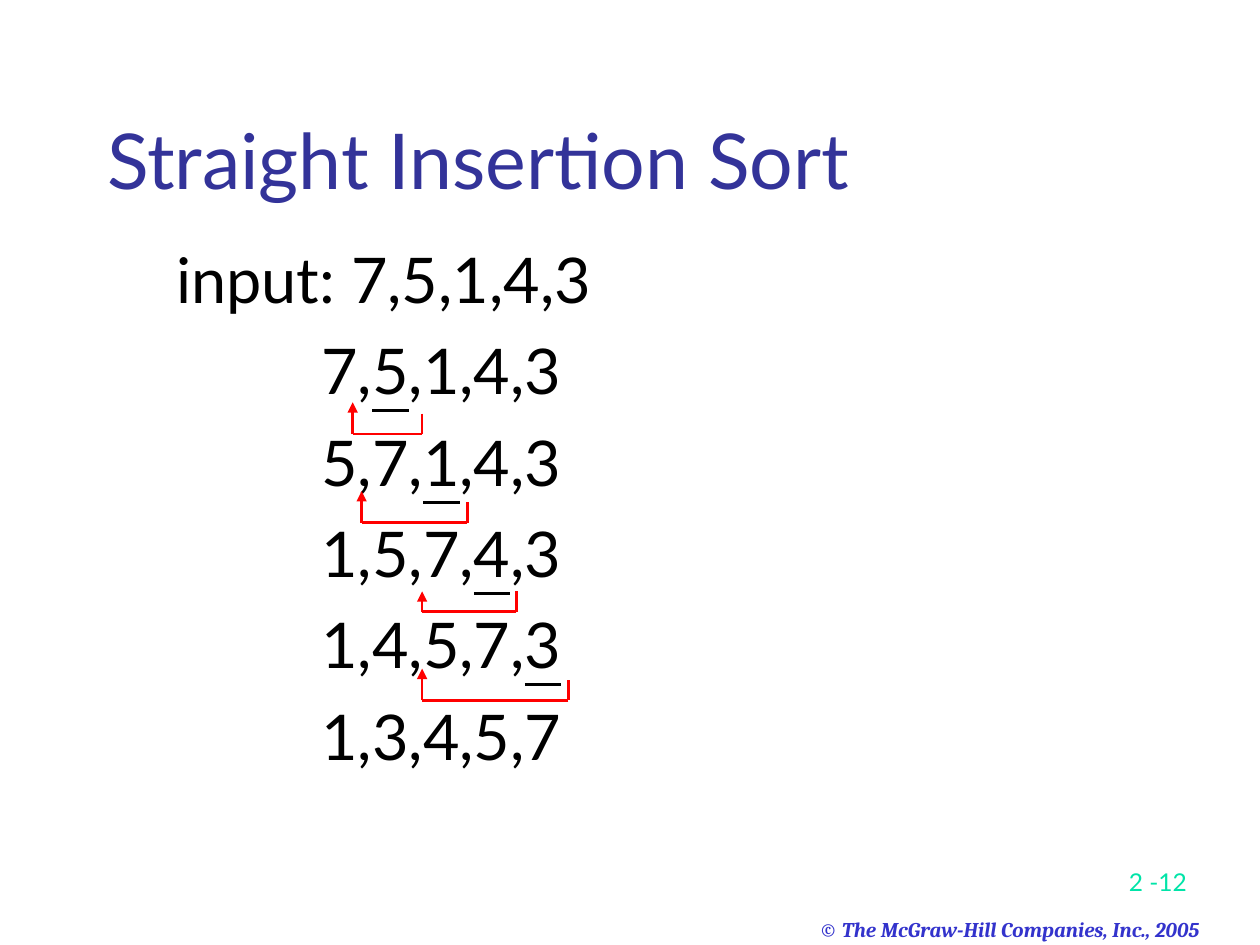
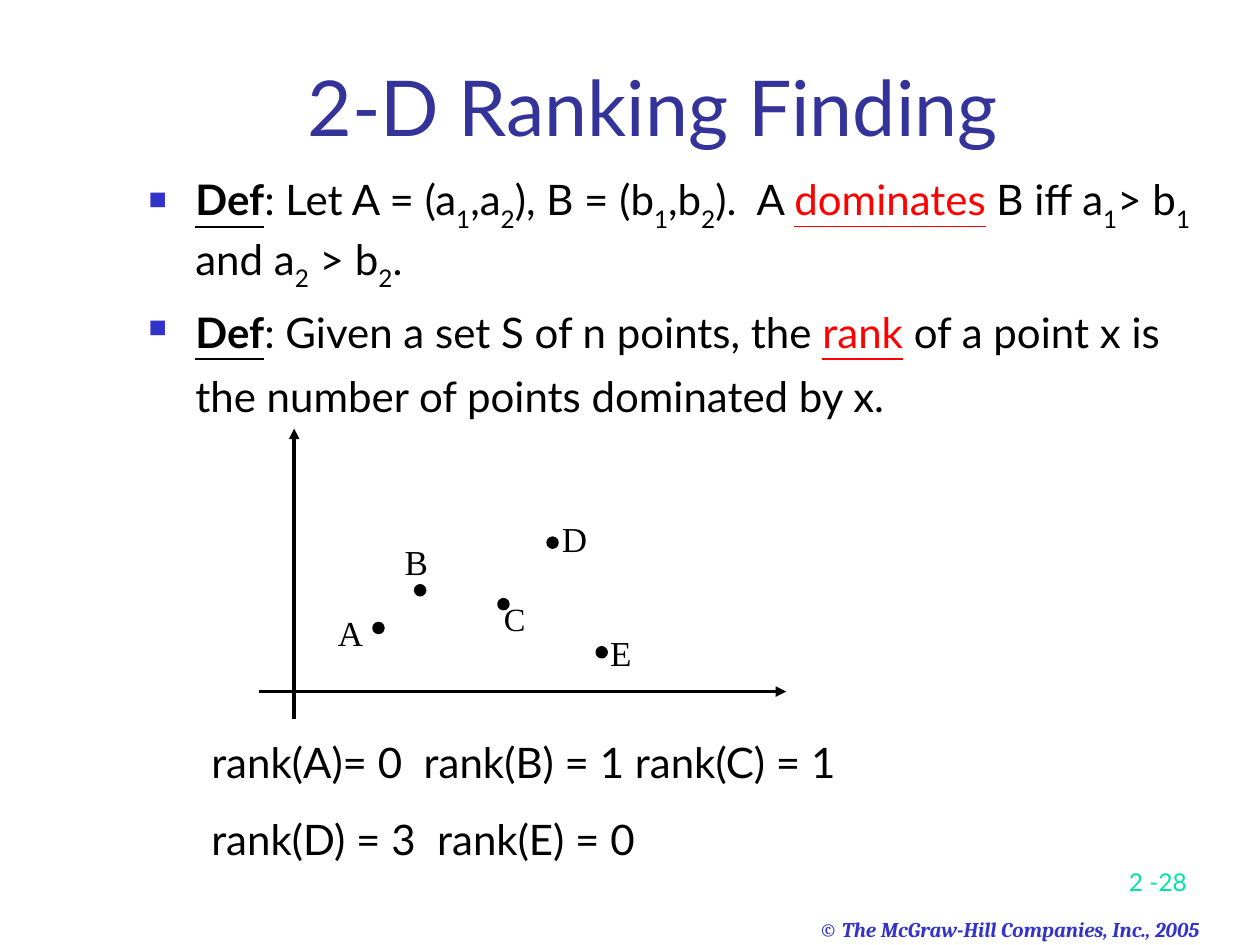
from dataclasses import dataclass

from lxml.etree import SubElement
from pptx import Presentation
from pptx.dml.color import RGBColor as Rgb
from pptx.enum.shapes import MSO_CONNECTOR as Link, MSO_SHAPE as Kind
from pptx.enum.text import MSO_ANCHOR as Anchor, PP_ALIGN as Align
from pptx.oxml.ns import qn
from pptx.util import Cm, Pt


@dataclass(frozen=True)
class Theme:
    # Colours
    title: str = "333399"
    mark: str = "3333CC"
    page: str = "00E4A8"
    ink: str = "000000"
    hot: str = "FF0000"
    paper: str = "FFFFFF"
    # Fonts
    sans: str = "Lato"
    serif: str = "Times New Roman"
    foot: str = "Cambria"
    # Type sizes
    head_size: float = 44
    step_size: float = 36
    body_size: float = 24
    tag_size: float = 20
    page_size: float = 14
    foot_size: float = 12


T = Theme()


# Text

def style(font, size=None, face=None, color=None, bold=None, italic=None,
          under=None):
    if size:
        font.size = Pt(size)
    if face:
        font.name = face
    if color:
        font.color.rgb = Rgb.from_string(color)
    if bold is not None:
        font.bold = bold
    if italic is not None:
        font.italic = italic
    if under is not None:
        font.underline = under


def bullet(para):
    props = para._p.get_or_add_pPr()
    props.set("marL", str(Cm(0.95)))
    props.set("indent", str(-Cm(0.95)))
    tint = SubElement(props, qn("a:buClr"))
    SubElement(tint, qn("a:srgbClr")).set("val", T.mark)
    SubElement(props, qn("a:buSzPct")).set("val", "60000")
    SubElement(props, qn("a:buChar")).set("char", "■")


def write(frame, paras, align=Align.LEFT, anchor=Anchor.TOP, gap=0, lines=None,
          marks=False, size=T.body_size, face=T.sans, color=T.ink, **fmt):
    """Each paragraph is a string or a list of strings and (string, format)."""
    frame.word_wrap = True
    frame.vertical_anchor = anchor
    for i, runs in enumerate(paras):
        para = frame.add_paragraph() if i else frame.paragraphs[0]
        if marks:
            bullet(para)
        para.alignment = align
        if i and gap:
            para.space_before = Pt(gap)
        if lines:
            para.line_spacing = lines
        for part in [runs] if isinstance(runs, str) else runs:
            words, extra = (part, {}) if isinstance(part, str) else part
            extra = dict(extra)
            base = extra.pop("base", None)
            run = para.add_run()
            run.text = words
            look = dict(size=size, face=face, color=color, **fmt)
            style(run.font, **{**look, **extra})
            if base:
                run._r.get_or_add_rPr().set("baseline", str(base))
    return frame


def text(slide, box, *paras, **fmt):
    shape = slide.shapes.add_textbox(*map(Cm, box))
    return write(shape.text_frame, paras, **fmt)


def subs(words):
    """Turn a_1 into an a with a lowered 1."""
    first, *rest = words.split("_")
    runs = [first]
    for piece in rest:
        runs.append((piece[0], {"base": -30000}))
        if piece[1:]:
            runs.append(piece[1:])
    return runs


# Lines and shapes

def line(slide, start, end, color=T.ink, width=2, arrow=False):
    link = slide.shapes.add_connector(Link.STRAIGHT, *map(Cm, start + end))
    link.line.color.rgb = Rgb.from_string(color)
    link.line.width = Pt(width)
    if arrow:
        stroke = link.line._get_or_add_ln()
        SubElement(stroke, qn("a:tailEnd")).set("type", "triangle")
    SubElement(link._element.spPr, qn("a:effectLst"))


def solid(slide, kind, box, color):
    shape = slide.shapes.add_shape(kind, *map(Cm, box))
    shape.shadow.inherit = False
    shape.fill.solid()
    shape.fill.fore_color.rgb = Rgb.from_string(color)
    shape.line.color.rgb = Rgb.from_string(color)
    shape.line.width = Pt(2)
    return shape


def move(slide, right, left, base, rise):
    """Bracket from the picked key back to the place where it goes."""
    look = dict(color=T.hot, width=1.5)
    line(slide, (right, base - 0.41), (right, base), **look)
    line(slide, (right, base), (left, base), **look)
    line(slide, (left, base), (left, base - rise), arrow=True, **look)


def point(slide, name, dot, box, size=T.tag_size, lines=None):
    frame = solid(slide, Kind.RECTANGLE, box, T.paper).text_frame
    frame.margin_left = frame.margin_right = Cm(0.03)
    frame.margin_top = frame.margin_bottom = Cm(0.03)
    write(frame, [name], size=size, face=T.serif, lines=lines)
    solid(slide, Kind.OVAL, dot + (0.18, 0.18), T.ink)


# Slides

def start(deck, page, title, box, align=Align.LEFT):
    slide = deck.slides.add_slide(deck.slide_layouts[6])
    text(slide, (16.27, 18.36, 8.9, 0.69),
         "© The McGraw-Hill Companies, Inc., 2005", size=T.foot_size,
         face=T.foot, color=T.mark, bold=True, italic=True)
    text(slide, (18.9, 16.92, 5.28, 1.27), f"2 -{page}", align=Align.RIGHT,
         anchor=Anchor.BOTTOM, size=T.page_size, color=T.page)
    text(slide, box, title, align=align, anchor=Anchor.BOTTOM,
         size=T.head_size, color=T.title)
    return slide


def sorting(deck):
    slide = start(deck, 12, "Straight Insertion Sort",
                  (1.91, 1.07, 20.32, 3.18))

    # Rows, with the key to insert underlined
    rows = []
    for i, row in enumerate(["7,5,1,4,3", "5,7,1,4,3", "1,5,7,4,3",
                             "1,4,5,7,3", "1,3,4,5,7"]):
        at = 2 * (i + 1)
        parts = [row[:at], (row[at:at + 1], {"under": True}), row[at + 1:]]
        rows.append([p for p in parts if p and p[0]])
    frame = text(slide, (3.3, 4.72, 16.21, 12.6), "input: 7,5,1,4,3", *rows,
                 size=T.step_size, gap=9)
    for para in frame.paragraphs[1:]:
        para._p.get_or_add_pPr().set("marL", str(Cm(2.93)))
        para._p.get_or_add_pPr().set("indent", "0")

    # Moves
    moves = [(8.51, 7.11, 0.64), (9.42, 7.29, 0.64),
             (10.41, 8.51, 0.41), (11.46, 8.51, 0.64)]
    for i, (right, left, rise) in enumerate(moves):
        move(slide, right, left, 8.75 + 1.79 * i, rise)


def ranking(deck):
    slide = start(deck, 28, "2-D Ranking Finding", (2.34, 1.07, 21.64, 2.11),
                  align=Align.CENTER)

    # Definitions
    term = ("Def", {"bold": True, "under": True})
    key = {"color": T.hot, "under": True}
    frame = text(
        slide, (2.74, 3.38, 21.59, 11.43),
        [term, *subs(": Let A = (a_1,a_2), B = (b_1,b_2).  A "),
         ("dominates", key), *subs(" B iff a_1> b_1 and a_2 > b_2.")],
        [term, ": Given a set S of n points, the ", ("rank", key),
         " of a point x is the number of points dominated by x."],
        marks=True)
    frame.paragraphs[1].line_spacing = 1.27

    # Points
    point(slide, "A", (7.54, 12.57), (6.78, 12.29, 0.74, 1.07))
    point(slide, "B", (8.38, 11.81), (8.13, 10.87, 0.69, 0.97))
    point(slide, "C", (10.06, 12.09), (10.13, 12.14, 1.02, 0.89),
          size=18.5, lines=0.9)
    point(slide, "D", (11.05, 10.85), (11.3, 10.41, 1.27, 0.91))
    point(slide, "E", (12.04, 13.06), (12.27, 12.7, 1.19, 0.99))

    # Axes
    line(slide, (5.23, 13.94), (15.85, 13.94), arrow=True)
    line(slide, (5.93, 14.5), (5.93, 8.64), arrow=True)

    # Ranks
    text(slide, (4.01, 14.73, 15.88, 3.6),
         "rank(A)= 0  rank(B) = 1 rank(C) = 1",
         "rank(D) = 3  rank(E) = 0", gap=15)


def main():
    deck = Presentation()
    deck.slide_width, deck.slide_height = Cm(25.4), Cm(19.05)
    sorting(deck)
    ranking(deck)
    deck.save("out.pptx")


if __name__ == "__main__":
    main()
